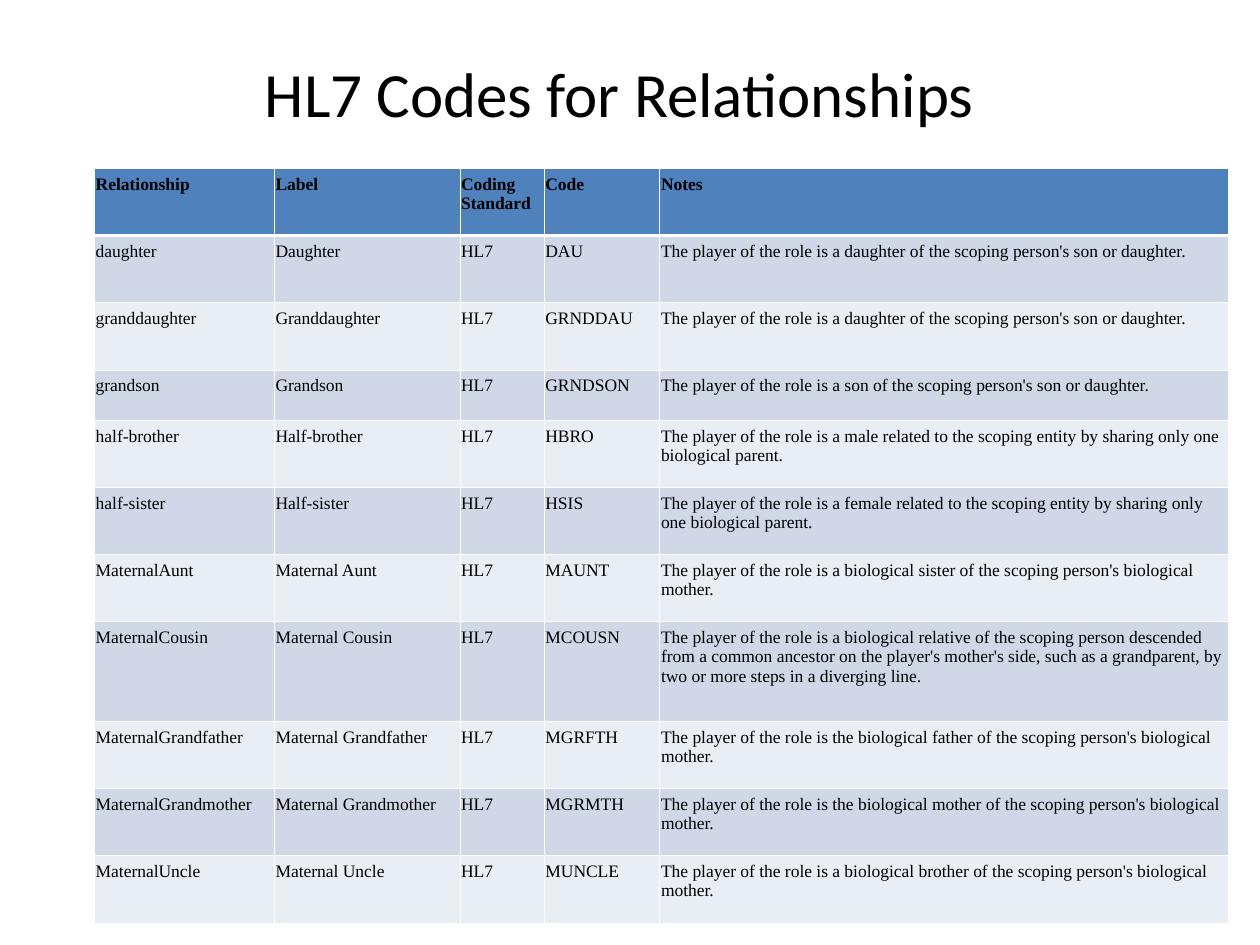
from dataclasses import dataclass

from lxml import etree
from pptx import Presentation
from pptx import util as u
from pptx.dml import color as col
from pptx.enum import text as tx
from pptx.oxml import ns


@dataclass(frozen=True)
class Theme:
    ink: str = "000000"
    head: str = "4F81BD"
    odd: str = "D0D8E8"
    even: str = "E9EDF4"
    rule: str = "FFFFFF"
    thin: float = 0.45
    thick: float = 1.47
    sans: str = "Calibri"
    serif: str = "Times New Roman"
    big: int = 36
    small: int = 10


@dataclass(frozen=True)
class Kin:
    name: str
    label: str
    code: str
    note: str
    high: float = 38.4

    def texts(self) -> tuple[str, ...]:
        return self.name, self.label, "HL7", self.code, self.note


LOOK = Theme()
TITLE = "HL7 Codes for Relationships"
HEADS = ("Relationship", "Label", "Coding Standard", "Code", "Notes")
WIDTHS = (102.8, 106, 48.2, 66.1, 324.6)
TOP_HIGH = 38.4
ROLE = "The player of the role is "
KIN = (
    Kin("daughter", "Daughter", "DAU",
        "a daughter of the scoping person's son or daughter."),
    Kin("granddaughter", "Granddaughter", "GRNDDAU",
        "a daughter of the scoping person's son or daughter."),
    Kin("grandson", "Grandson", "GRNDSON",
        "a son of the scoping person's son or daughter.", 28.8),
    Kin("half-brother", "Half-brother", "HBRO",
        "a male related to the scoping entity by sharing only one biological parent."),
    Kin("half-sister", "Half-sister", "HSIS",
        "a female related to the scoping entity by sharing only one biological parent."),
    Kin("MaternalAunt", "Maternal Aunt", "MAUNT",
        "a biological sister of the scoping person's biological mother."),
    Kin("MaternalCousin", "Maternal Cousin", "MCOUSN",
        "a biological relative of the scoping person descended from a common ancestor "
        "on the player's mother's side, such as a grandparent, by two or more steps "
        "in a diverging line.", 57),
    Kin("MaternalGrandfather", "Maternal Grandfather", "MGRFTH",
        "the biological father of the scoping person's biological mother."),
    Kin("MaternalGrandmother", "Maternal Grandmother", "MGRMTH",
        "the biological mother of the scoping person's biological mother."),
    Kin("MaternalUncle", "Maternal Uncle", "MUNCLE",
        "a biological brother of the scoping person's biological mother."),
)


def style(part, face: str, size: float, bold: bool = False) -> None:
    for run in part.runs:
        run.font.name = face
        run.font.size = u.Pt(size)
        run.font.bold = bold
        run.font.color.rgb = col.RGBColor.from_string(LOOK.ink)


def edge(cell, side: str, wide: float) -> None:
    props = cell._tc.get_or_add_tcPr()
    line = etree.SubElement(props, ns.qn(f"a:{side}"), w=str(int(u.Pt(wide))))
    fill = etree.SubElement(line, ns.qn("a:solidFill"))
    etree.SubElement(fill, ns.qn("a:srgbClr"), val=LOOK.rule)


def draw_cell(cell, words: str, row: int) -> None:
    cell.text_frame.text = words
    style(cell.text_frame.paragraphs[0], LOOK.serif, LOOK.small, row == 0)
    cell.margin_left = cell.margin_right = u.Pt(0.72)
    cell.margin_top = cell.margin_bottom = u.Pt(3.6)
    cell.vertical_anchor = tx.MSO_ANCHOR.TOP
    edge(cell, "lnL", LOOK.thin)
    edge(cell, "lnR", LOOK.thin)
    edge(cell, "lnT", LOOK.thick if row == 1 else LOOK.thin)
    edge(cell, "lnB", LOOK.thick if row == 0 else LOOK.thin)
    shade = LOOK.head if row == 0 else LOOK.odd if row % 2 else LOOK.even
    cell.fill.solid()
    cell.fill.fore_color.rgb = col.RGBColor.from_string(shade)


def draw_title(slide) -> None:
    box = slide.shapes.add_textbox(u.Pt(12), u.Pt(21.6), u.Pt(684), u.Pt(62.6))
    frame = box.text_frame
    frame.word_wrap = True
    frame.vertical_anchor = tx.MSO_ANCHOR.MIDDLE
    frame.text = TITLE
    part = frame.paragraphs[0]
    part.alignment = tx.PP_ALIGN.CENTER
    style(part, LOOK.sans, LOOK.big)


def draw_table(slide) -> None:
    rows = [HEADS]
    for kin in KIN:
        *lead, note = kin.texts()
        rows.append((*lead, ROLE + note))
    highs = [TOP_HIGH, *(kin.high for kin in KIN)]
    table = slide.shapes.add_table(
        len(rows), len(HEADS), u.Pt(54), u.Pt(96.2),
        u.Pt(sum(WIDTHS)), u.Pt(sum(highs))).table
    for part, wide in zip(table.columns, WIDTHS):
        part.width = u.Pt(wide)
    for i, (words, high) in enumerate(zip(rows, highs)):
        table.rows[i].height = u.Pt(high)
        for j, word in enumerate(words):
            draw_cell(table.cell(i, j), word, i)


def main() -> None:
    deck = Presentation()
    deck.slide_width, deck.slide_height = u.Pt(720), u.Pt(540)
    slide = deck.slides.add_slide(deck.slide_layouts[6])
    draw_title(slide)
    draw_table(slide)
    deck.save("out.pptx")


if __name__ == "__main__":
    main()
